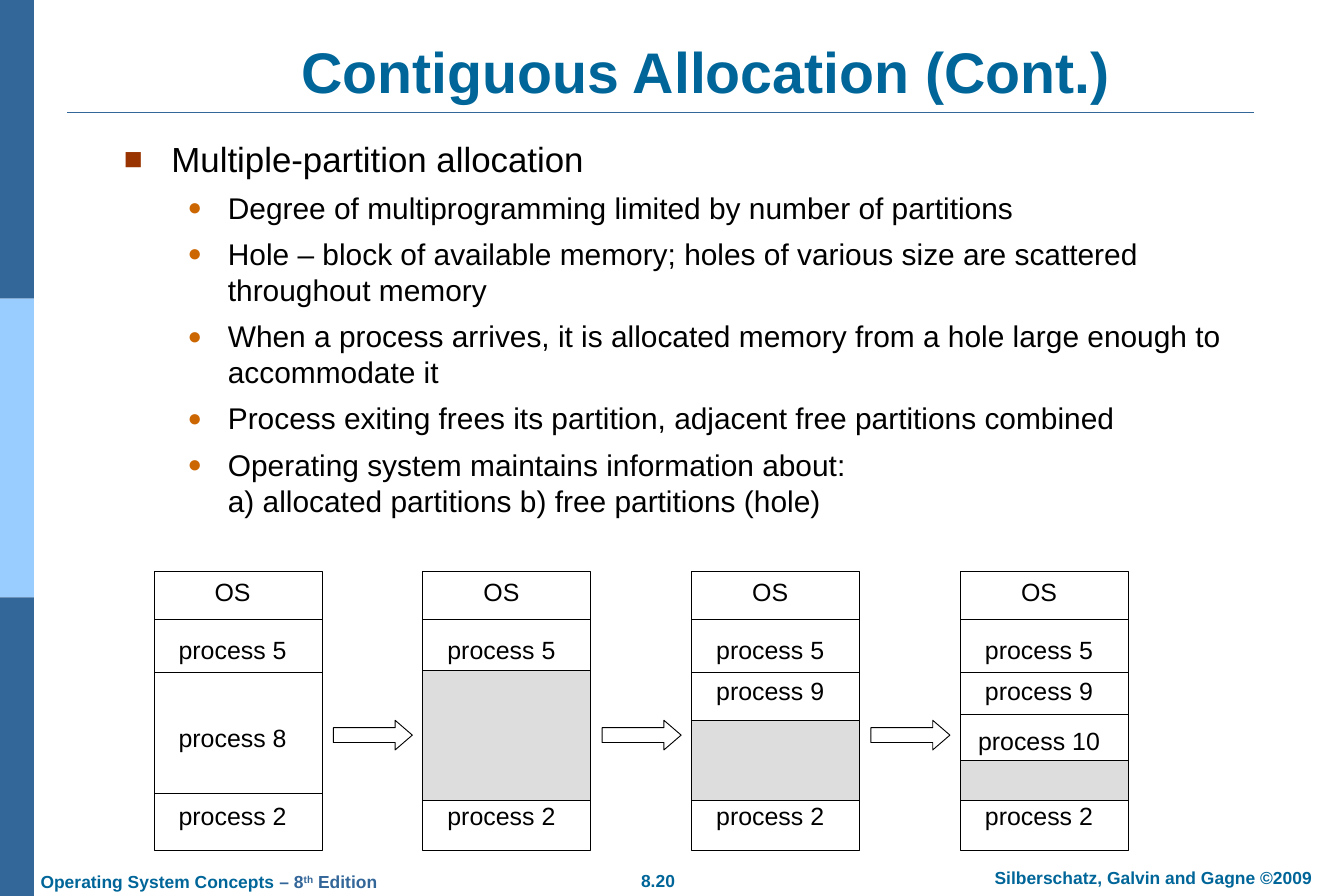
from dataclasses import dataclass

from lxml import etree
from pptx import Presentation
from pptx import util as u
from pptx.dml.color import RGBColor
from pptx.enum import shapes, text
from pptx.oxml import ns

Cm, Pt = u.Cm, u.Pt
CENTER, LEFT = text.PP_ALIGN.CENTER, text.PP_ALIGN.LEFT
TOP, MIDDLE, BOTTOM = (text.MSO_ANCHOR.TOP, text.MSO_ANCHOR.MIDDLE,
                       text.MSO_ANCHOR.BOTTOM)


@dataclass(frozen=True)
class Theme:
    font: str = "Arial"
    ink: str = "000000"
    paper: str = "FFFFFF"
    heading: str = "006699"
    band: str = "336699"
    light_band: str = "99CCFF"
    hole: str = "DDDDDD"
    square: str = "993300"
    dot: str = "CC6600"
    title_size: float = 46
    topic_size: float = 28
    point_size: float = 24
    label_size: float = 20
    footer_size: float = 14


THEME = Theme()

TOPIC = "Multiple-partition allocation"
POINTS = [
    ["Degree of multiprogramming limited by number of partitions"],
    ["Hole – block of available memory; holes of various size are scattered "
     "throughout memory"],
    ["When a process arrives, it is allocated memory from a hole large enough "
     "to accommodate it"],
    ["Process exiting frees its partition, adjacent free partitions combined"],
    ["Operating system maintains information about:",
     "a) allocated partitions b) free partitions (hole)"],
]

# Memory maps: offsets in cm below the top of the map
OS_LINE, PROCESS_5_LINE, PROCESS_2_LINE = 1.35, 2.87, 6.3
HOLE_END = 6.48
COMMON_LABELS = [("OS", -0.05), ("process 5", 1.6), ("process 2", 6.32)]
PROCESS_9 = ("process 9", 2.77)
# Each stage: extra labels, extra dividers, start of the hole
STAGES = [
    ([("process 8", 4.11)], [], None),
    ([], [], 2.82),
    ([PROCESS_9], [], 4.22),
    ([PROCESS_9, ("process 10", 4.17)], [4.06], 5.36),
]


def color(value):
    return RGBColor.from_string(value)


def add_span(para, words, size, tint, bold=False):
    span = para.add_run()
    span.text = words
    span.font.name = THEME.font
    span.font.size = Pt(size)
    span.font.bold = bold
    span.font.color.rgb = color(tint)
    return span


def set_frame(frame, anchor, wrap=True):
    frame.word_wrap = wrap
    frame.auto_size = text.MSO_AUTO_SIZE.NONE
    frame.vertical_anchor = anchor
    frame.margin_left = frame.margin_right = Cm(0.36)
    frame.margin_top = frame.margin_bottom = Cm(0.18)


def set_place(box, left, top, width, height):
    box.left, box.top, box.width, box.height = map(
        Cm, (left, top, width, height))


def add_text(page, place, anchor=TOP, align=CENTER, wrap=True):
    box = page.shapes.add_textbox(*map(Cm, place))
    set_frame(box.text_frame, anchor, wrap)
    para = box.text_frame.paragraphs[0]
    para.alignment = align
    return para


def add_block(page, kind, place, fill, outline=None):
    block = page.shapes.add_shape(kind, *map(Cm, place))
    block.shadow.inherit = False
    block.fill.solid()
    block.fill.fore_color.rgb = color(fill)
    if outline:
        block.line.color.rgb = color(outline)
        block.line.width = Pt(0.75)
    else:
        block.line.fill.background()
    return block


def add_rule(page, left, top, width, tint, weight):
    rule = page.shapes.add_connector(
        shapes.MSO_CONNECTOR.STRAIGHT,
        Cm(left), Cm(top), Cm(left + width), Cm(top))
    rule.line.color.rgb = color(tint)
    rule.line.width = Pt(weight)
    etree.SubElement(rule._element.spPr, ns.qn("a:effectLst"))


def set_bullet(para, mark, tint, percent, margin, hang):
    props = para._p.get_or_add_pPr()
    props.set("marL", str(Cm(margin)))
    props.set("indent", str(-Cm(hang)))
    tint_node = etree.SubElement(props, ns.qn("a:buClr"))
    etree.SubElement(tint_node, ns.qn("a:srgbClr"), val=tint)
    etree.SubElement(props, ns.qn("a:buSzPct"), val=str(percent * 1000))
    etree.SubElement(props, ns.qn("a:buFont"), typeface=THEME.font)
    etree.SubElement(props, ns.qn("a:buChar"), char=mark)


def draw_side_band(page, left, top, width, height):
    part = height / 3
    for row, fill in enumerate([THEME.band, THEME.light_band, THEME.band]):
        add_block(page, shapes.MSO_SHAPE.RECTANGLE,
                  (left, top + row * part, width, part), fill)


def draw_title(page, left, top, width, height):
    box = page.shapes.title
    set_place(box, left, top, width, height)
    set_frame(box.text_frame, BOTTOM)
    para = box.text_frame.paragraphs[0]
    para.alignment = CENTER
    add_span(para, "Contiguous Allocation (Cont.)", THEME.title_size,
             THEME.heading, True)
    add_rule(page, left - 1.9, top + height + 0.04, 33.65, THEME.band, 1.5)


def draw_body(page, left, top, width, height):
    box = page.placeholders[1]
    set_place(box, left, top, width, height)
    frame = box.text_frame
    set_frame(frame, TOP)
    para = frame.paragraphs[0]
    para.alignment = LEFT
    para.space_before = Pt(3)
    set_bullet(para, "■", THEME.square, 90, 1.35, 1.35)
    add_span(para, TOPIC, THEME.topic_size, THEME.ink)
    for lines in POINTS:
        para = frame.add_paragraph()
        para.level = 1
        para.alignment = LEFT
        para.space_before = Pt(0.35 * THEME.point_size)
        set_bullet(para, "●", THEME.dot, 80, 2.95, 1.14)
        for number, line in enumerate(lines):
            if number:
                para.add_line_break()
            add_span(para, line, THEME.point_size, THEME.ink)


def draw_memory_map(page, stage, left, top, width, height):
    labels, dividers, hole_start = stage
    rectangle = shapes.MSO_SHAPE.RECTANGLE
    add_block(page, rectangle, (left, top, width, height),
              THEME.paper, THEME.ink)
    for offset in [OS_LINE, PROCESS_5_LINE, PROCESS_2_LINE] + dividers:
        add_rule(page, left, top + offset, width, THEME.ink, 0.75)
    if hole_start is not None:
        add_block(page, rectangle,
                  (left, top + hole_start, width, HOLE_END - hole_start),
                  THEME.hole, THEME.ink)
    for words, offset in COMMON_LABELS + labels:
        para = add_text(page, (left, top + offset, 4.45, 1.22), MIDDLE)
        add_span(para, words, THEME.label_size, THEME.ink)


def draw_stages(page, left, top, width, height):
    pitch = 7.62
    for number, stage in enumerate(STAGES):
        start = left + number * pitch
        draw_memory_map(page, stage, start, top, width, height)
        if number < len(STAGES) - 1:
            arrow = add_block(page, shapes.MSO_SHAPE.RIGHT_ARROW,
                              (start + 5.08, top + 4.22, 2.24, 0.84),
                              THEME.paper, THEME.ink)
            arrow.adjustments[1] = 0.58


def draw_footer(page, left, top, width, height):
    def write(para, words, tint=THEME.heading):
        return add_span(para, words, THEME.footer_size, tint, True)

    book = add_text(page, (left, top, 10.36, height), align=LEFT, wrap=False)
    write(book, "Operating System Concepts")
    write(book, " – 8", THEME.band)
    write(book, "th", THEME.band).font._element.set("baseline", "30000")
    write(book, " Edition", THEME.band)
    write(add_text(page, (17.78, top - 0.02, 1.75, height), wrap=False), "8.20")
    write(add_text(page, (left + width - 11.3, top - 0.1, 11.3, height)),
          "Silberschatz, Galvin and Gagne ©2009")


def main():
    deck = Presentation()
    deck.slide_width, deck.slide_height = Cm(38.1), Cm(25.4)
    page = deck.slides.add_slide(deck.slide_layouts[1])
    draw_side_band(page, 0, 0, 0.96, 25.4)
    draw_title(page, 3.81, 1.02, 32.38, 2.13)
    draw_body(page, 3.15, 3.71, 32.38, 11.76)
    draw_stages(page, 4.37, 16.2, 4.76, 7.9)
    draw_footer(page, 0.79, 24.51, 37.56, 0.97)
    deck.save("out.pptx")


if __name__ == "__main__":
    main()
